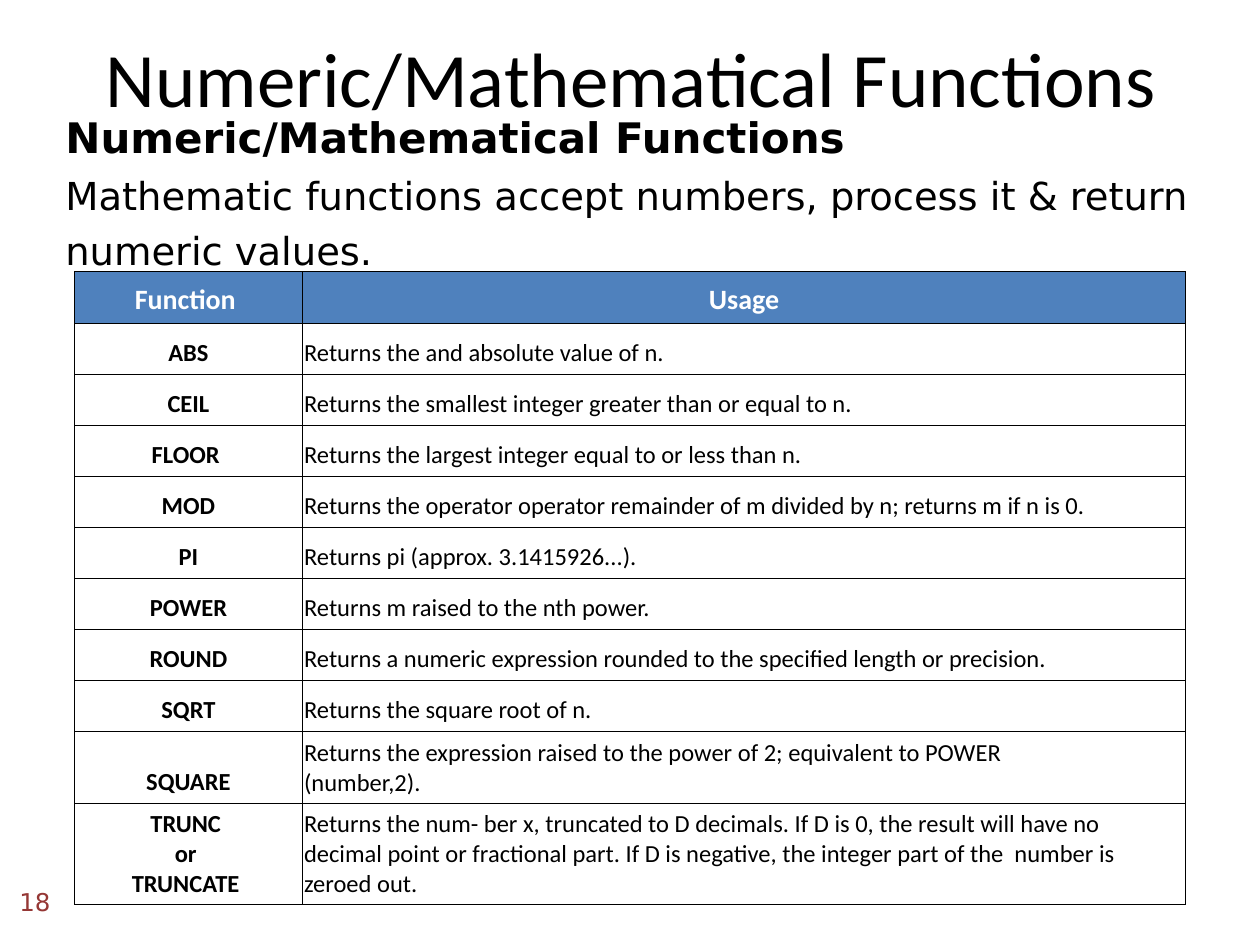
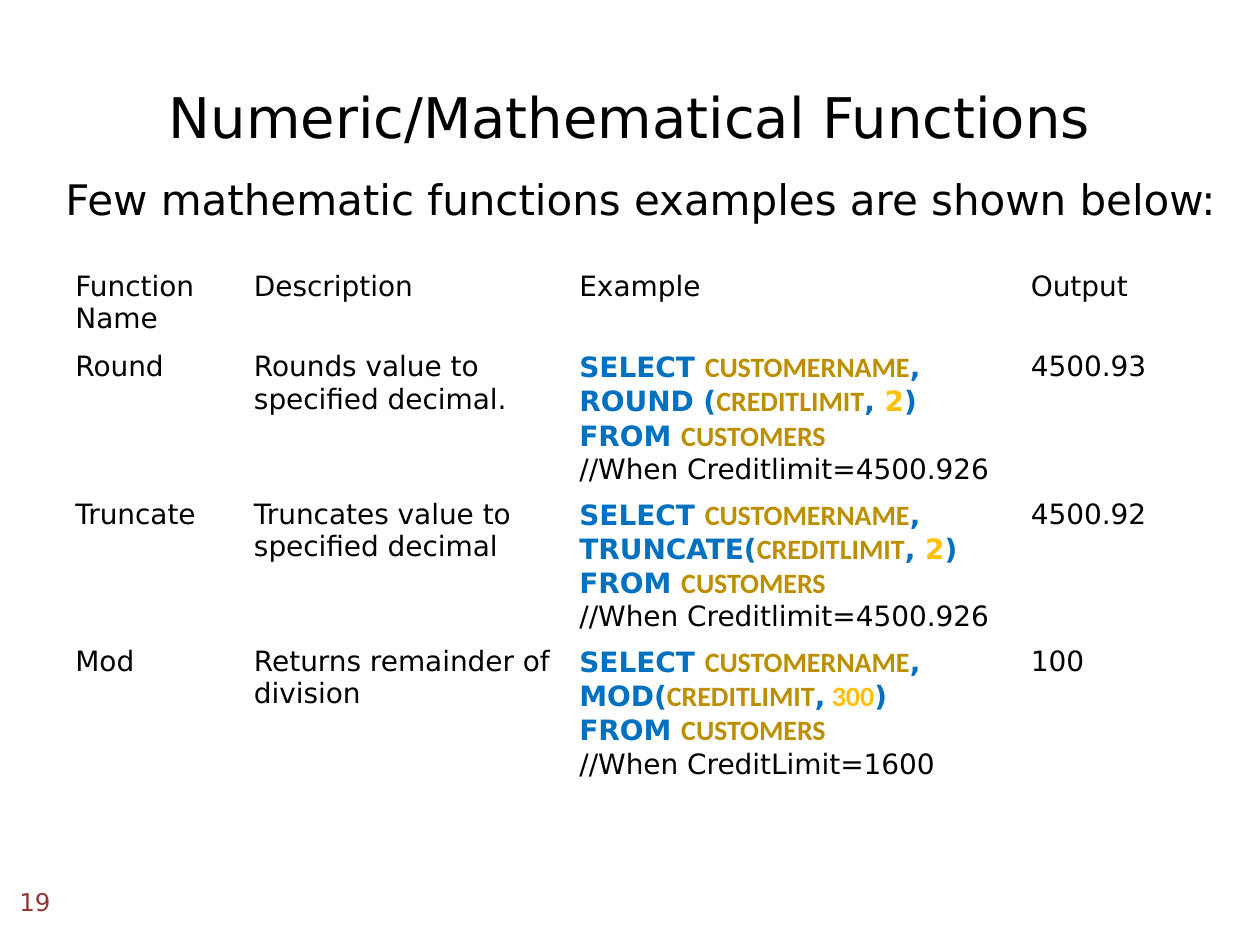
import dataclasses

import lxml.etree
import pptx
import pptx.dml.color
import pptx.enum.text
import pptx.oxml.ns
import pptx.util

Cm = pptx.util.Cm
ALIGN = pptx.enum.text.PP_ALIGN
ANCHOR = pptx.enum.text.MSO_ANCHOR
SANS = "DejaVu Sans"
CALIBRI = "Calibri"
TITLE = "Numeric/Mathematical Functions"


def color(value):
    return pptx.dml.color.RGBColor.from_string(value)


@dataclasses.dataclass
class TextStyle:
    font: str
    size: int
    color: str = "000000"
    bold: bool = False


LEAD_BOLD = TextStyle(SANS, 24, bold=True)
LEAD = TextStyle(SANS, 22)
INTRO = TextStyle(SANS, 24)
NUMBER = TextStyle(SANS, 14, "953735")
HEADER = TextStyle(CALIBRI, 16, "FFFFFF", True)
NAME = TextStyle(CALIBRI, 14, bold=True)
USAGE = TextStyle(CALIBRI, 14)
PLAIN = TextStyle(SANS, 16)
KEYWORD = TextStyle(SANS, 16, "0070C0", True)
COLUMN = TextStyle(CALIBRI, 16, "BC8F00", True)
DIGIT = TextStyle(SANS, 16, "FFC000", True)
DIGIT_CALIBRI = TextStyle(CALIBRI, 16, "FFC000", True)

USAGES = [
    ("ABS", "Returns the and absolute value of n."),
    ("CEIL", "Returns the smallest integer greater than or equal to n."),
    ("FLOOR ", "Returns the largest integer equal to or less than n."),
    ("MOD", "Returns the operator operator remainder of m divided by n; returns m if n is 0."),
    ("PI", "Returns pi (approx. 3.1415926...)."),
    ("POWER", "Returns m raised to the nth power."),
    ("ROUND", "Returns a numeric expression rounded to the specified length or precision."),
    ("SQRT", "Returns the square root of n."),
    ("SQUARE", "Returns the expression raised to the power of 2; equivalent to POWER\n(number,2)."),
    ("TRUNC |or |TRUNCATE ",
     "Returns the num- ber x, truncated to D decimals. If D is 0, the result will have "
     "no decimal point or fractional part. If D is negative, the integer part of the  "
     "number is zeroed out."),
]

SELECT = [("SELECT ", KEYWORD), ("CUSTOMERNAME", COLUMN)]
COMMA = (",", KEYWORD)
COMMA_SPACE = (", ", KEYWORD)
LIMIT = ("CREDITLIMIT", COLUMN)
CLOSE = (")", KEYWORD)
TWO = ("2", DIGIT)
FROM = [("FROM ", KEYWORD), ("CUSTOMERS", COLUMN)]

EXAMPLES = [
    ("Round", "Rounds value to specified decimal.",
     [SELECT + [COMMA], [("ROUND (", KEYWORD), LIMIT, COMMA_SPACE, TWO, CLOSE]],
     "//When Creditlimit=4500.926", "4500.93"),
    ("Truncate", "Truncates value to specified decimal",
     [SELECT + [(", TRUNCATE(", KEYWORD), LIMIT, COMMA_SPACE, TWO, CLOSE]],
     "//When Creditlimit=4500.926", "4500.92"),
    ("Mod", "Returns remainder of division",
     [SELECT + [COMMA], [("MOD(", KEYWORD), LIMIT, COMMA, (" 300", DIGIT_CALIBRI), CLOSE]],
     "//When CreditLimit=1600", "100"),
]


def lines(text, style):
    return [[(line, style)] for line in text.split("|")]


class Deck:
    def __init__(self):
        self.presentation = pptx.Presentation()
        self.presentation.slide_width = Cm(25.4)
        self.presentation.slide_height = Cm(19.05)
        self.slide = None

    def add_slide(self, number, title_left, title_top, title_style):
        self.slide = self.presentation.slides.add_slide(self.presentation.slide_layouts[6])
        self.add_text(title_left, title_top, 22.86, 3.18, lines(TITLE, title_style),
                      ALIGN.CENTER, ANCHOR.MIDDLE)
        self.add_text(0, 17.8, 1.27, 0.76, lines(str(number), NUMBER),
                      ALIGN.RIGHT, ANCHOR.MIDDLE)

    def fill_text(self, frame, paragraphs, alignment, spacing=None):
        for index, runs in enumerate(paragraphs):
            paragraph = frame.add_paragraph() if index else frame.paragraphs[0]
            paragraph.alignment = alignment
            paragraph.line_spacing = spacing
            for text, style in runs:
                for part_index, part in enumerate(text.split("\n")):
                    if part_index:
                        paragraph.add_line_break()
                    run = paragraph.add_run()
                    run.text = part
                    run.font.name = style.font
                    run.font.size = pptx.util.Pt(style.size)
                    run.font.bold = style.bold
                    run.font.color.rgb = color(style.color)

    def add_text(self, left, top, width, height, paragraphs,
                 alignment=ALIGN.LEFT, anchor=ANCHOR.TOP, spacing=None):
        shape = self.slide.shapes.add_textbox(Cm(left), Cm(top), Cm(width), Cm(height))
        frame = shape.text_frame
        frame.word_wrap = True
        frame.vertical_anchor = anchor
        self.fill_text(frame, paragraphs, alignment, spacing)

    def add_table(self, left, top, widths, heights, rows, anchor, margin,
                  alignments, header_fill=None, border=None):
        shape = self.slide.shapes.add_table(len(heights), len(widths), Cm(left), Cm(top),
                                            Cm(sum(widths)), Cm(sum(heights)))
        table = shape.table
        table.first_row = table.horz_banding = False
        for column, width in zip(table.columns, widths):
            column.width = Cm(width)
        for row_index, cells in enumerate(rows):
            table.rows[row_index].height = Cm(heights[row_index])
            for column_index, paragraphs in enumerate(cells):
                cell = table.cell(row_index, column_index)
                cell.margin_left = cell.margin_right = Cm(margin)
                cell.vertical_anchor = anchor
                if border:
                    self.add_borders(cell, border)
                if header_fill and row_index == 0:
                    cell.fill.solid()
                    cell.fill.fore_color.rgb = color(header_fill)
                else:
                    cell.fill.background()
                alignment = ALIGN.CENTER if row_index == 0 and header_fill else alignments[column_index]
                self.fill_text(cell.text_frame, paragraphs, alignment)

    def add_borders(self, cell, value):
        qn = pptx.oxml.ns.qn
        properties = cell._tc.get_or_add_tcPr()
        for side in ("a:lnL", "a:lnR", "a:lnT", "a:lnB"):
            line = lxml.etree.SubElement(properties, qn(side), w=str(pptx.util.Pt(0.45)))
            fill = lxml.etree.SubElement(line, qn("a:solidFill"))
            lxml.etree.SubElement(fill, qn("a:srgbClr"), val=value)


def build_usage_slide(deck):
    deck.add_slide(18, 1.3, -0.05, TextStyle(CALIBRI, 44))
    deck.add_text(1.07, 1.93, 25.4, 7.37, [
        [(TITLE, LEAD_BOLD)],
        [("Mathematic functions accept numbers, process it & return numeric values.", LEAD)],
    ], spacing=1.2)
    rows = [[lines("Function ", HEADER), lines("Usage", HEADER)]]
    rows += [[lines(name, NAME), lines(usage, USAGE)] for name, usage in USAGES]
    deck.add_table(1.5, 5.48, [4.6, 17.8], [1.03] * 9 + [1.22, 1.8], rows, ANCHOR.BOTTOM, 0.03,
                   [ALIGN.CENTER, ALIGN.LEFT], "4F81BD", "000000")


def build_example_slide(deck):
    deck.add_slide(19, 1.27, 0.76, TextStyle(SANS, 32))
    deck.add_text(1.07, 3.38, 24.56, 1.27,
                  lines("Few mathematic functions examples are shown below:", INTRO))
    rows = [[lines(text, PLAIN) for text in ("Function Name", "Description", "Example", "Output")]]
    for name, description, query, remark, output in EXAMPLES:
        example = query + [FROM] + lines(remark, PLAIN)
        rows.append([lines(name, PLAIN), lines(description, PLAIN), example, lines(output, PLAIN)])
    deck.add_table(1.27, 5.33, [3.6, 6.56, 9.1, 3.6], [1.62] + [2.97] * 3, rows,
                   ANCHOR.TOP, 0.25, [ALIGN.LEFT] * 4)


def main():
    deck = Deck()
    build_usage_slide(deck)
    build_example_slide(deck)
    deck.presentation.save("out.pptx")


if __name__ == "__main__":
    main()
